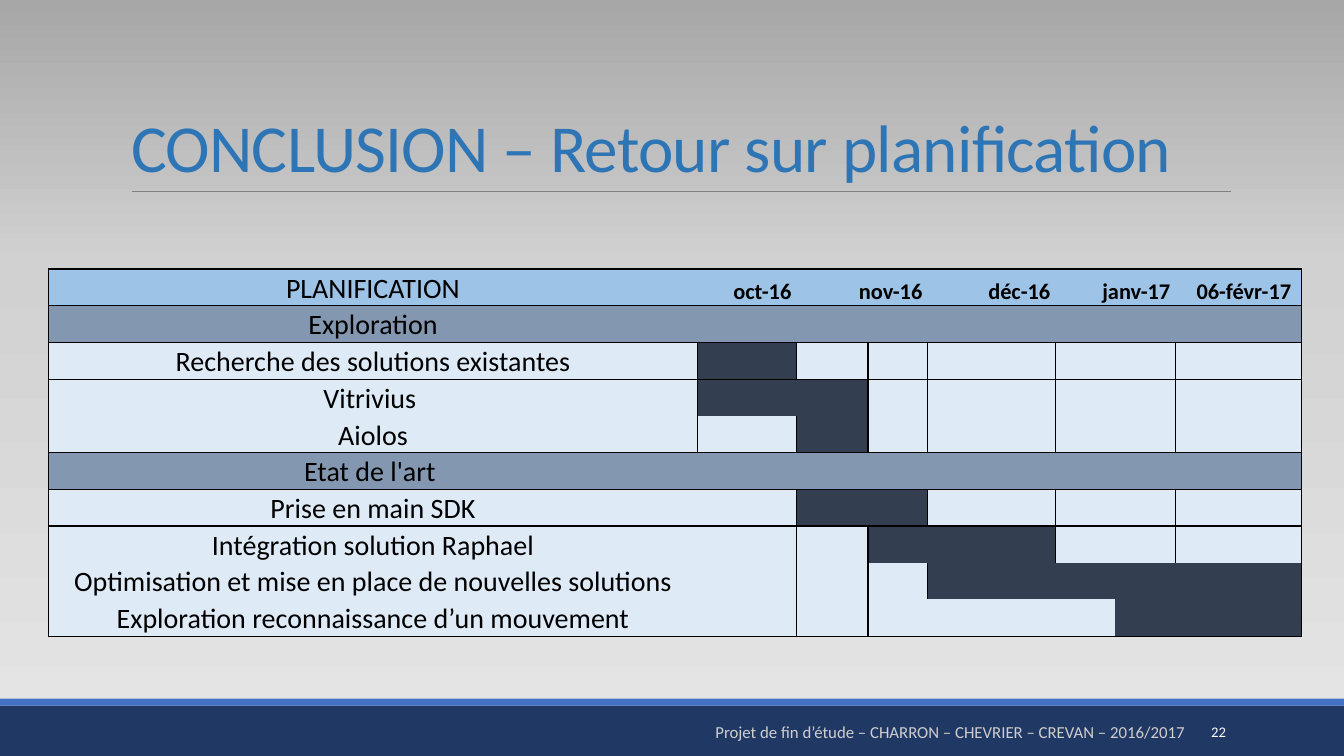
from copy import deepcopy
from lxml.etree import SubElement
from pptx import Presentation
from pptx.dml.color import RGBColor
from pptx.enum.shapes import MSO_CONNECTOR, MSO_SHAPE
from pptx.enum.text import MSO_ANCHOR, MSO_AUTO_SIZE, PP_ALIGN
from pptx.oxml.ns import qn
from pptx.util import Pt

FONT = "Calibri"
BLACK, LIGHT, DARK = "000000", "DEEBF7", "333F50"
HEAD, PHASE = "9DC3E6", "8497B0"
WIDTHS = [463.7, 70.6, 51.1, 42.5, 91.4, 42.5, 43.2, 90]
EDGES = {2, 4, 5, 7}
MONTHS = ["oct-16", "nov-16", "déc-16", "janv-17", "06-févr-17 "]
PLAN = [
    ("Exploration", [
        ("Recherche des solutions existantes", "#1 1 1 1 2 1"),
        ("Vitrivius ", "#2 1 1 2 1"),
        ("Aiolos", "1 #1 1 1 2 1")]),
    ("Etat de l'art ", [
        ("Prise en main SDK", "1 #2 1 2 1"),
        ("Intégration solution Raphael", "1 1 #2 2 1"),
        ("Optimisation et mise en place de nouvelles solutions", "1 1 1 #4"),
        ("Exploration reconnaissance d’un mouvement", "1 1 3 #2")]),
]


def tint(code):
    return RGBColor.from_string(code)


class Slide:
    """Holds the style and the current slide."""

    def __init__(self, deck):
        self.page = deck.slides.add_slide(deck.slide_layouts[5])
        self.shapes = self.page.shapes

    def ground(self, stops):
        fill = self.page.background.fill
        fill.gradient()
        fill.gradient_angle = 90
        marks = self.page.element.find(".//" + qn("a:gsLst"))
        marks.append(deepcopy(marks[0]))
        for stop, (place, code) in zip(fill.gradient_stops, stops):
            stop.position = place
            stop.color.rgb = tint(code)

    def label(self, frame, text, size, code, align, bold=False):
        frame.text = text
        line = frame.paragraphs[0]
        line.alignment = align
        font = line.runs[0].font
        font.name, font.size, font.bold = FONT, Pt(size), bold
        font.color.rgb = tint(code)
        return line

    def title(self, text, box):
        shape = self.shapes.title
        shape.left, shape.top, shape.width, shape.height = map(Pt, box)
        frame = shape.text_frame
        frame.auto_size = MSO_AUTO_SIZE.NONE
        frame.vertical_anchor = MSO_ANCHOR.BOTTOM
        line = self.label(frame, text, 48, "2E75B6", PP_ALIGN.LEFT)
        line.line_spacing = 0.85
        line.runs[0].font._element.set("spc", "-50")

    def band(self, box, code):
        shape = self.shapes.add_shape(MSO_SHAPE.RECTANGLE, *map(Pt, box))
        shape.shadow.inherit = False
        shape.fill.solid()
        shape.fill.fore_color.rgb = tint(code)
        shape.line.fill.background()

    def rule(self, ends, code, width):
        line = self.shapes.add_connector(MSO_CONNECTOR.STRAIGHT, *map(Pt, ends))
        line.line.color.rgb = tint(code)
        line.line.width = Pt(width)
        SubElement(line._element.spPr, qn("a:effectLst"))

    def note(self, text, box, size, code, anchor):
        frame = self.shapes.add_textbox(*map(Pt, box)).text_frame
        frame.word_wrap = True
        frame.vertical_anchor = anchor
        self.label(frame, text, size, code, PP_ALIGN.RIGHT)

    def table(self, left, top, high, count):
        frame = self.shapes.add_table(count, len(WIDTHS), Pt(left), Pt(top),
                                      Pt(sum(WIDTHS)), Pt(high * count))
        grid = frame.table
        style = grid._tbl.tblPr.find(qn("a:tableStyleId"))
        style.text = "{2D5ABB26-0587-4C30-8999-92F81FD0307C}"
        for col, width in zip(grid.columns, WIDTHS):
            col.width = Pt(width)
        for row in grid.rows:
            row.height = Pt(high)
            for cell in row.cells:
                cell.margin_left = cell.margin_right = Pt(3.6)
                cell.margin_top = cell.margin_bottom = 0
                cell.vertical_anchor = MSO_ANCHOR.BOTTOM
        return grid

    def cell(self, cell, code, sides, text="", size=20, align=PP_ALIGN.CENTER, bold=False):
        if text:
            line = self.label(cell.text_frame, text, size, BLACK, align, bold)
            line.line_spacing = 1.07
        props = cell._tc.get_or_add_tcPr()
        for side in sides:
            edge = SubElement(props, qn("a:ln" + side), w=str(Pt(1)))
            fill = SubElement(edge, qn("a:solidFill"))
            SubElement(fill, qn("a:srgbClr"), val=BLACK)
        cell.fill.solid()
        cell.fill.fore_color.rgb = tint(code)

    def row(self, grid, index, name, bars, code, edges, ends="", texts=()):
        left = "L" + ("R" if 1 in edges else "") + ends
        self.cell(grid.cell(index, 0), code, left, name)
        start = 1
        for spot, bar in enumerate(bars.split()):
            stop = start + int(bar.strip("#"))
            cell = grid.cell(index, start)
            if stop - start > 1:
                cell.merge(grid.cell(index, stop - 1))
            sides = ("L" if start in edges else "") + ("R" if stop in edges else "")
            text = texts[spot] if texts else ""
            self.cell(cell, DARK if "#" in bar else code, sides + ends,
                      text, 16, PP_ALIGN.RIGHT, True)
            start = stop

    def plan(self):
        last = len(WIDTHS)
        count = 1 + sum(1 + len(tasks) for _, tasks in PLAN)
        grid = self.table(34.6, 192.2, 25.7, count)
        self.row(grid, 0, "PLANIFICATION", "1 2 1 2 1", HEAD, {last}, "TB", MONTHS)
        index = 1
        for phase, (name, tasks) in enumerate(PLAN):
            self.row(grid, index, name, "7", PHASE, {last}, "TB")
            edges = EDGES | {last} | ({1} if phase == 0 else set())
            for step, (task, bars) in enumerate(tasks, 1):
                ends = "T" if step == 1 else "B" if step == len(tasks) else ""
                self.row(grid, index + step, task, bars, LIGHT, edges, ends)
            index += len(tasks) + 1


def main():
    deck = Presentation()
    deck.slide_width, deck.slide_height = Pt(960), Pt(540)
    slide = Slide(deck)
    slide.ground([(0, "E7E6E6"), (0.65, "D2D1D1"), (1, "A8A7A7")])
    slide.band((0, 504, 960, 36), "203864")
    slide.band((0, 499, 960, 5), "4472C4")
    slide.rule((94.3, 136.8, 879, 136.8), "808080", 0.5)
    slide.title("CONCLUSION – Retour sur planification", (86.4, 22.3, 792, 114.5))
    slide.plan()
    slide.note("22", (779.8, 508.3, 103, 28.8), 10.5, "FFFFFF", MSO_ANCHOR.MIDDLE)
    slide.note("Projet de fin d’étude – CHARRON – CHEVRIER – CREVAN – 2016/2017",
               (49.7, 511.9, 804.2, 21.6), 12, "D0CECE", MSO_ANCHOR.TOP)
    deck.save("out.pptx")


if __name__ == "__main__":
    main()
